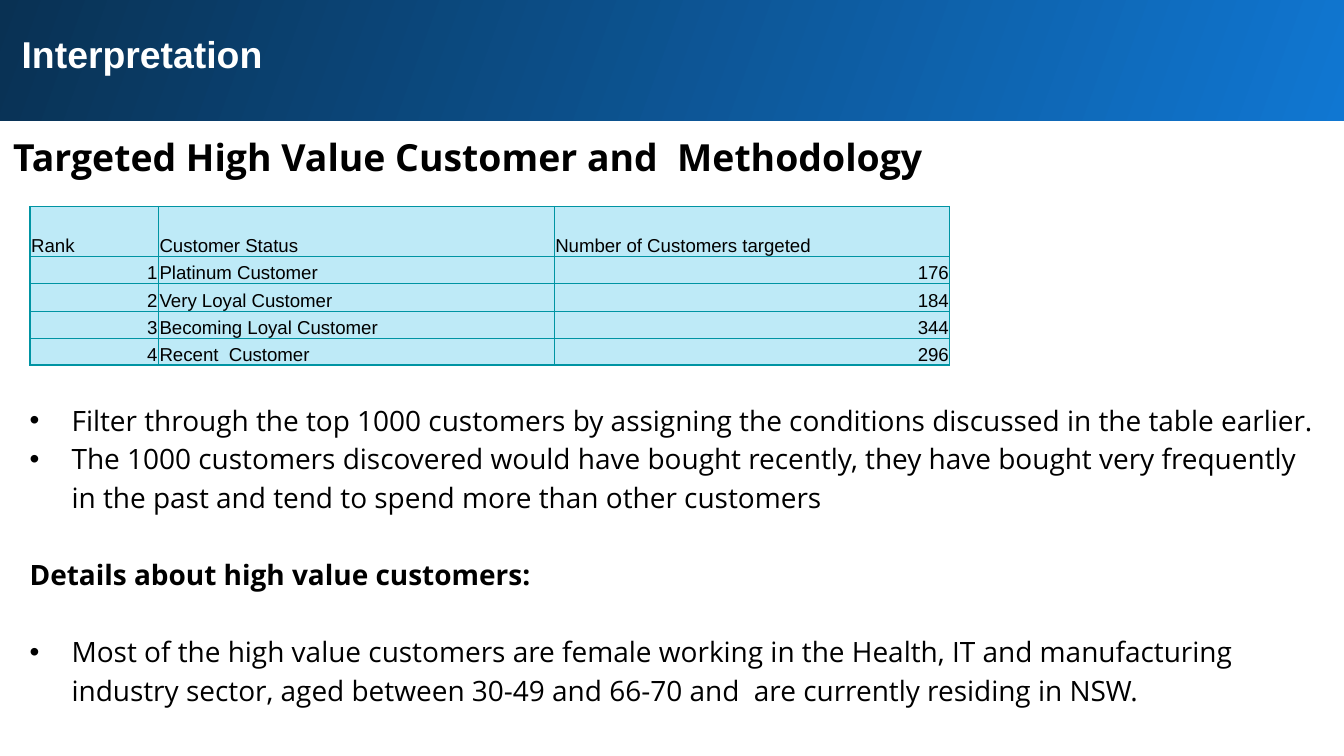
from lxml import etree
from pptx import Presentation
from pptx.dml.color import RGBColor
from pptx.enum.shapes import MSO_SHAPE
from pptx.enum.text import MSO_ANCHOR, PP_ALIGN
from pptx.oxml.ns import qn
from pptx.util import Pt

RECTANGLE = MSO_SHAPE.RECTANGLE
BOTTOM = MSO_ANCHOR.BOTTOM
LEFT, RIGHT = PP_ALIGN.LEFT, PP_ALIGN.RIGHT


def color(value):
    return RGBColor.from_string(value)


def write(para, text, size=15, font="Open Sans", ink="000000", bold=False,
          align=LEFT, spacing=None, before=0, bullet=False):
    para.alignment = align
    para.line_spacing = spacing
    para.space_before = Pt(before)
    span = para.add_run()
    span.text = text
    span.font.size = Pt(size)
    span.font.name = font
    span.font.bold = bold
    span.font.color.rgb = color(ink)
    if bullet:
        properties = para._p.get_or_add_pPr()
        properties.set("marL", str(Pt(22.5)))
        properties.set("indent", str(-Pt(22.5)))
        etree.SubElement(properties, qn("a:buFont"), typeface="Arial")
        etree.SubElement(properties, qn("a:buChar"), char="•")


deck = Presentation()
deck.slide_width, deck.slide_height = Pt(720), Pt(405)
page = deck.slides.add_slide(deck.slide_layouts[6])

banner = page.shapes.add_shape(RECTANGLE, Pt(-1.5), Pt(-1.5), Pt(723.5), Pt(66.3))
banner.shadow.inherit = False
banner.line.fill.background()
banner.fill.gradient()
banner.fill.gradient_angle = 160
for stop, (place, shade) in zip(banner.fill.gradient_stops, [(0, "1077D2"), (1, "093153")]):
    stop.position = place
    stop.color.rgb = color(shade)

LINE = 20.6
BODY = [
    ("Filter through the top 1000 customers by assigning the conditions discussed "
     "in the table earlier.", dict(bullet=True)),
    ("The 1000 customers discovered would have bought recently, they have bought very "
     "frequently in the past and tend to spend more than other customers", dict(bullet=True)),
    ("Details about high value customers:", dict(bold=True, before=LINE)),
    ("Most of the high value customers are female working in the Health, IT and "
     "manufacturing industry sector, aged between 30-49 and 66-70 and  are currently "
     "residing in NSW.", dict(bullet=True, before=LINE)),
]
TEXTS = [
    (4.5, 9.3, 674.5, 39, 0,
     [("Interpretation", dict(size=20, font="Arial", ink="FFFFFF", bold=True))]),
    (0, 61.2, 674.5, 42.5, 0,
     [("Targeted High Value Customer and  Methodology",
       dict(size=20, bold=True, spacing=1.15))]),
    (8.8, 165, 704, 244.8, 2 * LINE,
     [(text, dict(style, spacing=1.15)) for text, style in BODY]),
]
for left, top, width, height, offset, lines in TEXTS:
    box = page.shapes.add_textbox(Pt(left), Pt(top), Pt(width), Pt(height))
    frame = box.text_frame
    frame.word_wrap = True
    frame.margin_left = frame.margin_right = frame.margin_bottom = Pt(7.2)
    frame.margin_top = Pt(7.2 + offset)
    for index, (text, style) in enumerate(lines):
        para = frame.add_paragraph() if index else frame.paragraphs[0]
        write(para, text, **style)

ROWS = [
    ("Rank", "Customer Status", "Number of Customers targeted"),
    ("1", "Platinum Customer", "176"),
    ("2", "Very Loyal Customer", "184"),
    ("3", "Becoming Loyal Customer", "344"),
    ("4", "Recent  Customer", "296"),
]
WIDTHS = [68.8, 212, 212]
HEIGHTS = [26.8, 14.4, 15, 14.4, 14.4]
table = page.shapes.add_table(len(ROWS), len(WIDTHS), Pt(16.1), Pt(110.6),
                              Pt(sum(WIDTHS)), Pt(sum(HEIGHTS))).table
for column, width in zip(table.columns, WIDTHS):
    column.width = Pt(width)
for row, height in zip(table.rows, HEIGHTS):
    row.height = Pt(height)
for row_index, values in enumerate(ROWS):
    for column_index, value in enumerate(values):
        cell = table.cell(row_index, column_index)
        cell.margin_left = cell.margin_right = cell.margin_top = Pt(0.6)
        cell.margin_bottom = 0
        cell.vertical_anchor = BOTTOM
        write(cell.text_frame.paragraphs[0], value, size=10, font="Arial",
              align=RIGHT if value.isdigit() else LEFT)
        properties = cell._tc.get_or_add_tcPr()
        for side in ("a:lnL", "a:lnR", "a:lnT", "a:lnB"):
            border = etree.SubElement(properties, qn(side), w=str(Pt(0.75)))
            paint = etree.SubElement(border, qn("a:solidFill"))
            etree.SubElement(paint, qn("a:srgbClr"), val="0094A3")
        cell.fill.solid()
        cell.fill.fore_color.rgb = color("BEEAF7")

deck.save("out.pptx")
